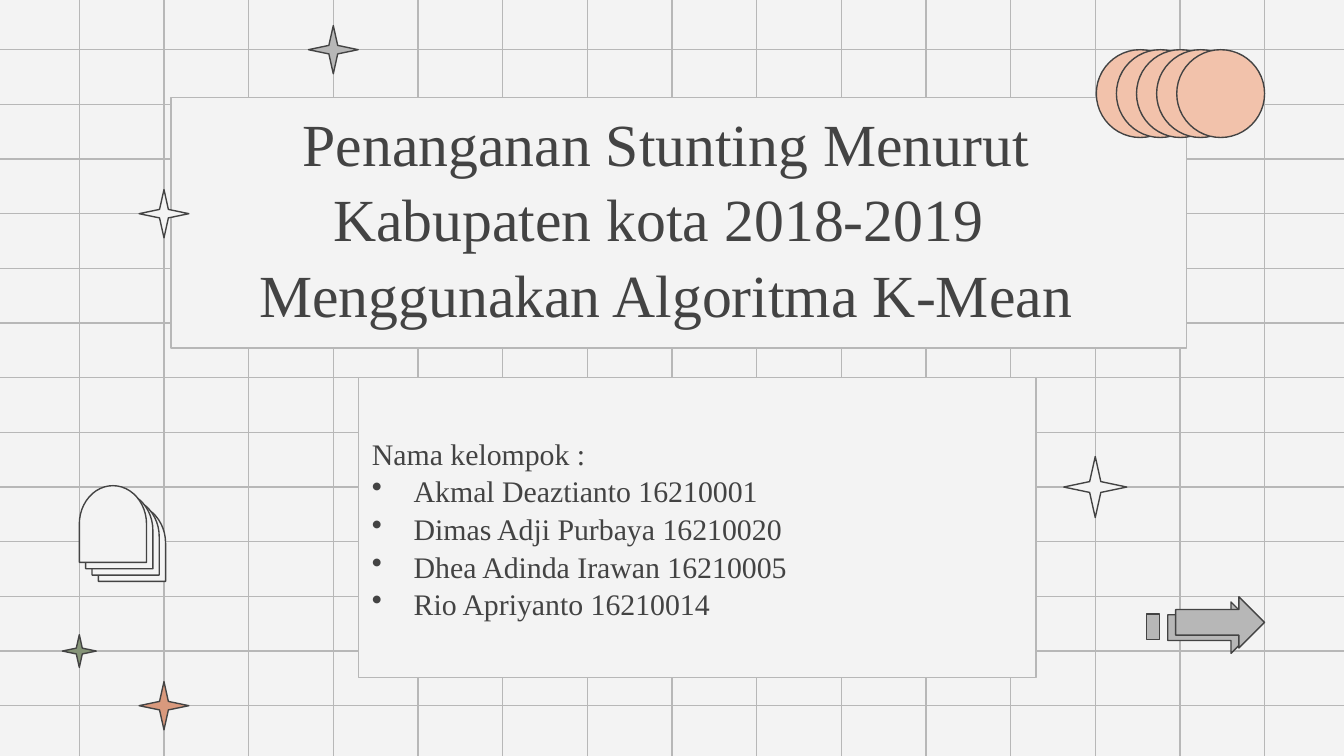
from lxml import etree
from pptx import Presentation
from pptx.dml.color import RGBColor
from pptx.enum.shapes import MSO_CONNECTOR, MSO_SHAPE
from pptx.enum.text import MSO_ANCHOR, MSO_AUTO_SIZE, PP_ALIGN
from pptx.oxml.ns import qn
from pptx.util import Cm, Pt

STRAIGHT = MSO_CONNECTOR.STRAIGHT
RECTANGLE = MSO_SHAPE.RECTANGLE
STAR = MSO_SHAPE.STAR_4_POINT
OVAL = MSO_SHAPE.OVAL
ARROW = MSO_SHAPE.RIGHT_ARROW
ARCH = MSO_SHAPE.FLOWCHART_DELAY
MIDDLE = MSO_ANCHOR.MIDDLE
NO_AUTOFIT = MSO_AUTO_SIZE.NONE
LEFT, CENTER = PP_ALIGN.LEFT, PP_ALIGN.CENTER

SLIDE_W, SLIDE_H = 25.4, 14.29
PAPER, GREY, INK = "F3F3F3", "B7B7B7", "434343"
PEACH, ORANGE, GREEN = "F2C2AB", "D9997D", "859477"
FONT = "Times New Roman"
LINE_WIDTH = Pt(0.75)

COLUMNS = [1.5 + 1.6 * i for i in range(15)]
ROWS = [0.94 + 12.4 / 12 * i for i in range(13)]

TITLE = "Penanganan Stunting Menurut Kabupaten kota 2018-2019 \vMenggunakan Algoritma K-Mean"
MEMBERS_HEADING = "Nama kelompok :"
MEMBERS = [
    "Akmal Deaztianto 16210001",
    "Dimas Adji Purbaya 16210020",
    "Dhea Adinda Irawan 16210005",
    "Rio Apriyanto 16210014",
]

# column, row, width, fill
STARS = [
    (1, 12, 0.94, ORANGE),
    (0, 11, 0.64, GREEN),
    (3, 0, 0.94, GREY),
    (1, 3, 0.94, PAPER),
    (12, 8, 1.19, PAPER),
]


def rgb(hex_color):
    return RGBColor.from_string(hex_color)


def add_figure(slide, preset, left, top, width, height, fill, outline=INK):
    figure = slide.shapes.add_shape(preset, Cm(left), Cm(top), Cm(width), Cm(height))
    figure.shadow.inherit = False
    figure.fill.solid()
    figure.fill.fore_color.rgb = rgb(fill)
    figure.line.color.rgb = rgb(outline)
    figure.line.width = LINE_WIDTH
    return figure


def add_grid_line(slide, x1, y1, x2, y2):
    grid_line = slide.shapes.add_connector(STRAIGHT, Cm(x1), Cm(y1), Cm(x2), Cm(y2))
    grid_line.line.color.rgb = rgb(GREY)
    grid_line.line.width = LINE_WIDTH
    etree.SubElement(grid_line.element.spPr, qn("a:effectLst"))


def draw_grid(slide, width, height):
    for x in COLUMNS:
        add_grid_line(slide, x, 0, x, height)
    for y in ROWS:
        add_grid_line(slide, 0, y, width, y)


def prepare_frame(frame):
    frame.word_wrap = True
    frame.auto_size = NO_AUTOFIT
    frame.vertical_anchor = MIDDLE
    frame.margin_left = frame.margin_right = Cm(0.25)
    frame.margin_top = frame.margin_bottom = Cm(0.25)


def style_paragraph(paragraph, size, alignment):
    paragraph.alignment = alignment
    paragraph.line_spacing = 1.05
    paragraph.font.name = FONT
    paragraph.font.size = Pt(size)
    paragraph.font.color.rgb = rgb(INK)


def add_bullet(paragraph):
    properties = paragraph._p.get_or_add_pPr()
    properties.set("marL", str(Cm(0.79)))
    properties.set("indent", str(-Cm(0.79)))
    bullet_color = etree.SubElement(properties, qn("a:buClr"))
    etree.SubElement(bullet_color, qn("a:srgbClr"), val=INK)
    etree.SubElement(properties, qn("a:buChar"), char="•")


def place_title(slide, left, top, width, height):
    add_figure(slide, RECTANGLE, left, top, width, height, PAPER, GREY)
    title = slide.shapes.title
    title.left, title.top = Cm(left + 0.38), Cm(top + 0.1)
    title.width, title.height = Cm(width - 1.24), Cm(height - 0.45)
    title.text_frame.text = TITLE
    prepare_frame(title.text_frame)
    style_paragraph(title.text_frame.paragraphs[0], 32, CENTER)
    # Bring the title in front of the grid and its panel
    title.element.getparent().append(title.element)


def place_members(slide, left, top, width, height):
    panel = add_figure(slide, RECTANGLE, left, top, width, height, PAPER, GREY)
    frame = panel.text_frame
    prepare_frame(frame)
    frame.text = "\n".join([MEMBERS_HEADING, *MEMBERS])
    for paragraph in frame.paragraphs[1:]:
        add_bullet(paragraph)
    for paragraph in frame.paragraphs:
        style_paragraph(paragraph, 16, LEFT)


def place_stars(slide):
    for column, row, width, fill in STARS:
        height = width * 0.97
        star = add_figure(slide, STAR, COLUMNS[column] - width / 2,
                          ROWS[row] - height / 2, width, height, fill)
        star.adjustments[0] = 0.125


def place_circles(slide, left, top, width, diameter, count=5):
    step = (width - diameter) / (count - 1)
    for i in range(count):
        add_figure(slide, OVAL, left + i * step, top, diameter, diameter, PEACH)


def place_arches(slide, left, top, width, height, count=4):
    step = 0.12
    arch_w = width - step * (count - 1)
    arch_h = height - step * (count - 1)
    turn = (arch_h - arch_w) / 2  # shift between the upright and the lying box
    for i in reversed(range(count)):
        arch = add_figure(slide, ARCH, left + i * step - turn, top + i * step + turn,
                          arch_h, arch_w, PAPER)
        arch.rotation = 270


def place_arrows(slide, left, top, width, height):
    arrow_w, arrow_h = width - 0.55, height - 0.1
    add_figure(slide, ARROW, left + 0.4, top + 0.1, arrow_w, arrow_h, GREY)
    add_figure(slide, RECTANGLE, left, top + 0.33, 0.25, 0.48, GREY)
    add_figure(slide, ARROW, left + 0.55, top, arrow_w, arrow_h, GREY)


def main():
    presentation = Presentation()
    presentation.slide_width, presentation.slide_height = Cm(SLIDE_W), Cm(SLIDE_H)
    slide = presentation.slides.add_slide(presentation.slide_layouts[5])
    slide.background.fill.solid()
    slide.background.fill.fore_color.rgb = rgb(PAPER)

    draw_grid(slide, SLIDE_W, SLIDE_H)
    place_title(slide, 3.23, 1.84, 19.2, 4.74)
    place_members(slide, 6.78, 7.14, 12.8, 5.67)
    place_arrows(slide, 21.67, 11.28, 2.23, 1.07)
    place_stars(slide)
    place_circles(slide, 20.72, 0.94, 3.18, 1.66)
    place_arches(slide, 1.5, 9.18, 1.63, 1.81)
    presentation.save("out.pptx")


if __name__ == "__main__":
    main()
